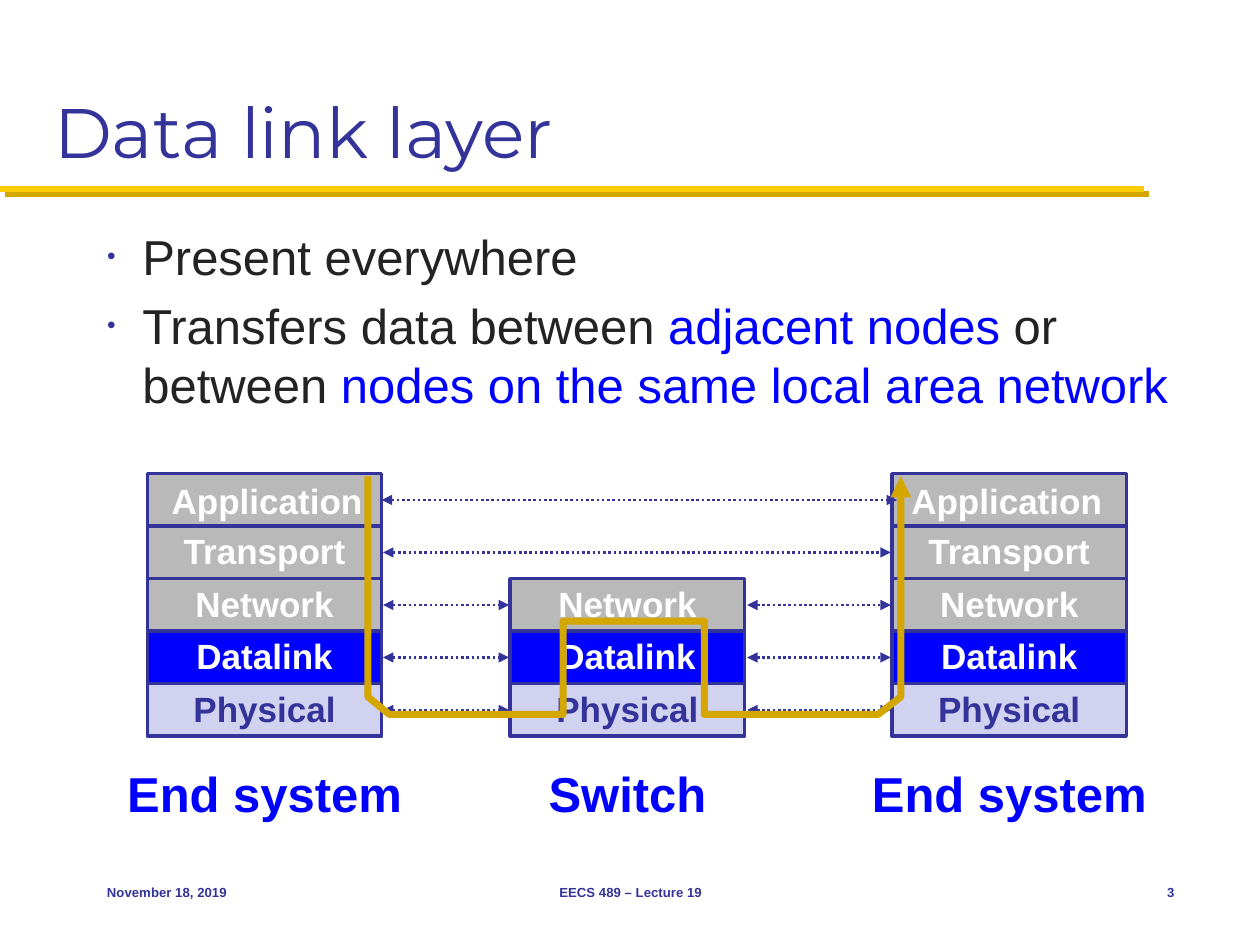
"""Build the slide that shows where the data link layer sits in the network stack."""
from dataclasses import dataclass

from lxml.etree import SubElement
from pptx import Presentation
from pptx.dml.color import RGBColor
from pptx.enum.dml import MSO_LINE
from pptx.enum.shapes import MSO_CONNECTOR, MSO_SHAPE
from pptx.enum.text import MSO_ANCHOR, MSO_AUTO_SIZE, PP_ALIGN
from pptx.oxml.ns import qn
from pptx.util import Inches, Pt


@dataclass(frozen=True)
class Theme:
    navy: str = "333399"
    blue: str = "0000FF"
    ink: str = "232323"
    white: str = "FFFFFF"
    gray: str = "B9B9B9"
    lavender: str = "D1D1F0"
    yellow: str = "FFCB05"
    gold: str = "D3A600"
    heading_font: str = "Montserrat"
    body_font: str = "Arial"
    title_size: float = 40
    body_size: float = 28
    layer_size: float = 20
    footer_size: float = 7.5


THEME = Theme()
LAYERS = [
    ("Application", 1.73, THEME.gray, THEME.white),
    ("Transport", 1.5, THEME.gray, THEME.white),
    ("Network", 1.31, THEME.gray, THEME.white),
    ("Datalink", 1.29, THEME.blue, THEME.white),
    ("Physical", 1.34, THEME.lavender, THEME.navy),
]
STACK_TOP, LAYER_WIDTH, LAYER_HEIGHT = 3.76, 1.86, 5 / 12
STACKS = [
    ("End system", 1.17, 0, 2.41, 0.02),
    ("Switch", 4.05, 2, 1.47, 0),
    ("End system", 7.08, 0, 2.41, -0.02),
]
LINKS = [
    (3.03, 7.12, [0]),
    (3.04, 7.07, [1]),
    (3.04, 4.04, [2, 3, 4]),
    (5.93, 7.07, [2, 3, 4]),
]
DATA_PATH = [
    (2.92, 3.78), (2.92, 5.53), (3.09, 5.67), (4.47, 5.67), (4.47, 4.93),
    (5.59, 4.93), (5.59, 5.67), (6.97, 5.67), (7.15, 5.53), (7.15, 3.78),
]
BULLETS = [
    [("Present everywhere", THEME.ink)],
    [
        ("Transfers data between ", THEME.ink),
        ("adjacent nodes", THEME.blue),
        (" or between ", THEME.ink),
        ("nodes on the same local area network", THEME.blue),
    ],
]
FOOTERS = [
    ("November 18, 2019", 0.75, 2.08, PP_ALIGN.LEFT),
    ("EECS 489 – Lecture 19", 3.42, 3.17, PP_ALIGN.CENTER),
    ("3", 8.75, 0.67, PP_ALIGN.RIGHT),
]


def apply_format(target, values):
    for name, value in values.items():
        setattr(target, name, value)


def place(shape, left, top, width, height):
    apply_format(shape, {
        "left": Inches(left), "top": Inches(top),
        "width": Inches(width), "height": Inches(height),
    })


def add_span(para, text, color, size, bold=False, font=THEME.body_font):
    span = para.add_run()
    span.text = text
    apply_format(span.font, {"name": font, "size": Pt(size), "bold": bold})
    span.font.color.rgb = RGBColor.from_string(color)


def style_line(shape, color, width, dash=None, arrows=()):
    apply_format(shape.line, {"width": Pt(width), "dash_style": dash})
    shape.line.color.rgb = RGBColor.from_string(color)
    outline = shape.element.spPr.find(qn("a:ln"))
    for end in arrows:
        SubElement(outline, qn(f"a:{end}"), type="triangle")


def add_line(page, start, end, *style):
    line = page.shapes.add_connector(
        MSO_CONNECTOR.STRAIGHT, *(Inches(value) for value in (*start, *end)))
    style_line(line, *style)
    return SubElement(line.element.spPr, qn("a:effectLst"))


def add_label(page, bounds, text, color, size, align=PP_ALIGN.CENTER, **frame_values):
    box = page.shapes.add_textbox(*(Inches(value) for value in bounds))
    apply_format(box.text_frame, frame_values)
    para = box.text_frame.paragraphs[0]
    para.alignment = align
    add_span(para, text, color, size, bold=True)


def add_title(page):
    title = page.shapes.title
    place(title, 0.33, 0.17, 9.33, 1.25)
    apply_format(title.text_frame, {
        "vertical_anchor": MSO_ANCHOR.BOTTOM, "auto_size": MSO_AUTO_SIZE.NONE})
    para = title.text_frame.paragraphs[0]
    para.alignment = PP_ALIGN.LEFT
    add_span(para, "Data link layer", THEME.navy, THEME.title_size,
             font=THEME.heading_font)
    effects = add_line(page, (0, 1.5), (9.08, 1.5), THEME.yellow, 3.5)
    shadow = SubElement(effects, qn("a:outerShdw"), dist=str(Pt(4.2)),
                        dir="2700000", algn="ctr", rotWithShape="0")
    SubElement(shadow, qn("a:srgbClr"), val=THEME.gold)


def add_bullets(page):
    body = page.placeholders[1]
    place(body, 0.75, 1.75, 8.67, 4.83)
    frame = body.text_frame
    frame.auto_size = MSO_AUTO_SIZE.NONE
    for index, spans in enumerate(BULLETS):
        para = frame.add_paragraph() if index else frame.paragraphs[0]
        for text, color in spans:
            add_span(para, text, color, THEME.body_size)
        properties = para._p.get_or_add_pPr()
        properties.set("marL", str(Inches(0.28)))
        properties.set("indent", str(Inches(-0.28)))
        spacing = SubElement(properties, qn("a:spcBef"))
        SubElement(spacing, qn("a:spcPct"), val="20000")
        bullet_color = SubElement(properties, qn("a:buClr"))
        SubElement(bullet_color, qn("a:srgbClr"), val=THEME.navy)
        SubElement(properties, qn("a:buSzPct"), val="50000")
        SubElement(properties, qn("a:buFont"), typeface=THEME.body_font)
        SubElement(properties, qn("a:buChar"), char="•")


def add_layer(page, left, row, nudge):
    name, label_width, fill, color = LAYERS[row]
    top = STACK_TOP + row * LAYER_HEIGHT
    layer = page.shapes.add_shape(MSO_SHAPE.RECTANGLE, *(
        Inches(value) for value in (left, top, LAYER_WIDTH, LAYER_HEIGHT)))
    layer.shadow.inherit = False
    layer.fill.solid()
    layer.fill.fore_color.rgb = RGBColor.from_string(fill)
    style_line(layer, THEME.navy, 2)
    shift_x, shift_y = (nudge, 0) if row == 0 else (0, -0.02)
    label_left = left + (LAYER_WIDTH - label_width) / 2 + shift_x
    add_label(page, (label_left, top + shift_y, label_width, 0.44), name, color,
              THEME.layer_size, word_wrap=False,
              auto_size=MSO_AUTO_SIZE.SHAPE_TO_FIT_TEXT)


def add_stack(page, name, left, first_row, label_width, nudge):
    for row in range(first_row, len(LAYERS)):
        add_layer(page, left, row, nudge)
    label_left = left + (LAYER_WIDTH - label_width) / 2
    add_label(page, (label_left, 6.01, label_width, 0.57), name, THEME.blue,
              THEME.body_size, word_wrap=False,
              auto_size=MSO_AUTO_SIZE.SHAPE_TO_FIT_TEXT)


def add_links(page):
    for start, end, rows in LINKS:
        for row in rows:
            middle = STACK_TOP + (row + 0.5) * LAYER_HEIGHT
            add_line(page, (start, middle), (end, middle), THEME.navy, 1.5,
                     MSO_LINE.ROUND_DOT, ("headEnd", "tailEnd"))


def add_data_path(page):
    points = [(Inches(x), Inches(y)) for x, y in DATA_PATH]
    builder = page.shapes.build_freeform(*points[0])
    builder.add_line_segments(points[1:], close=False)
    route = builder.convert_to_shape()
    route.shadow.inherit = False
    route.fill.background()
    style_line(route, THEME.gold, 4, None, ("tailEnd",))


def main():
    deck = Presentation()
    apply_format(deck, {"slide_width": Inches(10), "slide_height": Inches(7.5)})
    page = deck.slides.add_slide(deck.slide_layouts[1])
    add_title(page)
    add_bullets(page)
    for text, left, width, align in FOOTERS:
        add_label(page, (left, 6.83, width, 0.5), text, THEME.navy, THEME.footer_size,
                  align, word_wrap=True, vertical_anchor=MSO_ANCHOR.MIDDLE)
    for stack in STACKS:
        add_stack(page, *stack)
    add_links(page)
    add_data_path(page)
    deck.save("out.pptx")


main()
